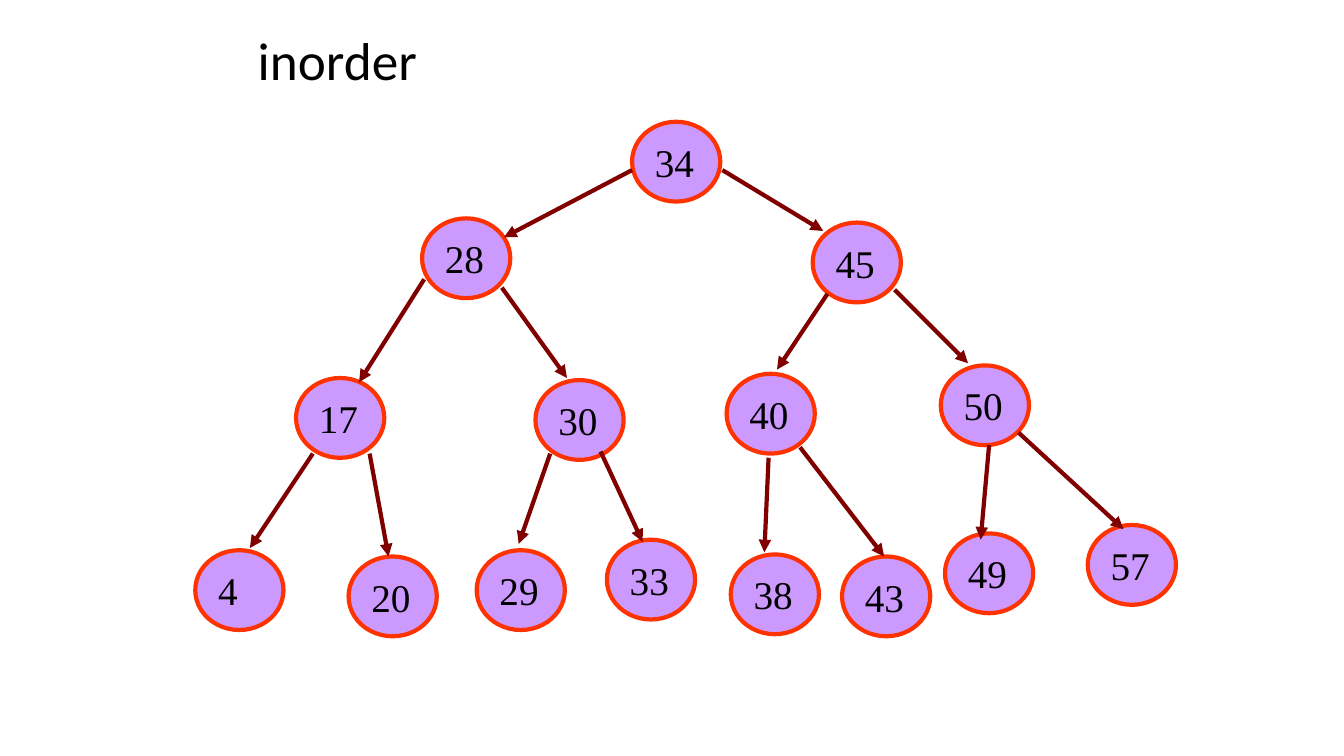
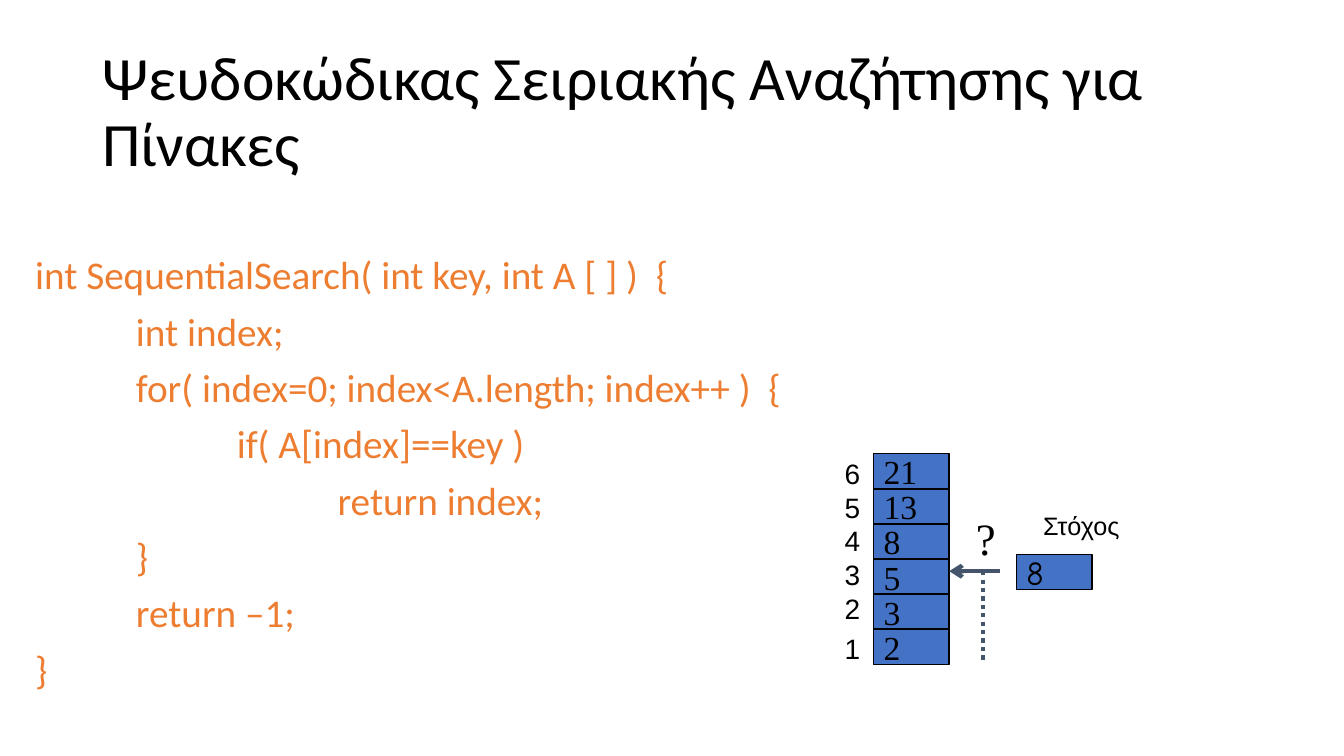
from lxml import etree
from pptx import Presentation
from pptx.dml.color import RGBColor
from pptx.enum.dml import MSO_LINE
from pptx.enum.shapes import MSO_CONNECTOR, MSO_SHAPE
from pptx.enum.text import MSO_ANCHOR, PP_ALIGN
from pptx.oxml.ns import qn
from pptx.util import Inches, Pt

LEFT = PP_ALIGN.LEFT
MIDDLE, TOP = MSO_ANCHOR.MIDDLE, MSO_ANCHOR.TOP
OVAL, RECT = MSO_SHAPE.OVAL, MSO_SHAPE.RECTANGLE
STRAIGHT = MSO_CONNECTOR.STRAIGHT
DOTS = MSO_LINE.ROUND_DOT

BLACK, ORANGE, SLATE, MAROON = "000000", "ED7D31", "44546A", "800000"
rgb = RGBColor.from_string

deck = Presentation()
deck.slide_width, deck.slide_height = Inches(13.33), Inches(7.5)
COL, ROW = deck.slide_width / 640, deck.slide_height / 360

HEAD = {"name": "Calibri", "size": Pt(44)}
SMALL = {"name": "Calibri", "size": Pt(38)}
CODE = {"name": "Calibri", "size": Pt(28)}
NODE = {"name": "Times New Roman", "size": Pt(28)}
CELL = {"name": "Times New Roman", "size": Pt(24)}
MARK = {"name": "Times New Roman", "size": Pt(32)}
GOAL = {"name": "Comic Neue", "size": Pt(24)}
INDEX = {"name": "Arial", "size": Pt(20)}
LABEL = {"name": "Arial", "size": Pt(18)}

RING = {"kind": OVAL, "fill": "CC99FF", "edge": "FF3300", "width": 3}
BLOCK = {"kind": RECT, "fill": "4472C4", "edge": BLACK, "width": 1.25}


def box(slide, place, text, font, look=None, color=BLACK, anchor=MIDDLE, lead=1.0):
    x, y, w, h = place
    area = [round(n) for n in (x * COL, y * ROW, w * COL, h * ROW)]
    if look:
        shape = slide.shapes.add_shape(look["kind"], *area)
        shape.shadow.inherit = False
        shape.fill.solid()
        shape.fill.fore_color.rgb = rgb(look["fill"])
        shape.line.color.rgb = rgb(look["edge"])
        shape.line.width = Pt(look["width"])
    else:
        shape = slide.shapes.add_textbox(*area)
    frame = shape.text_frame
    frame.text = text
    inset = 0 if anchor == MIDDLE else Inches(0.05)
    form = {"word_wrap": True, "vertical_anchor": anchor, "margin_left": Inches(0.1),
            "margin_right": 0, "margin_top": inset, "margin_bottom": inset}
    for key, value in form.items():
        setattr(frame, key, value)
    for para in frame.paragraphs:
        para.alignment = LEFT
        para.line_spacing = lead
        for key, value in font.items():
            setattr(para.font, key, value)
        para.font.color.rgb = rgb(color)
    return frame


def link(slide, ends, color, tip=None, dash=None):
    x, y, u, v = ends
    line = slide.shapes.add_connector(
        STRAIGHT, round(x * COL), round(y * ROW), round(u * COL), round(v * ROW))
    line.line.color.rgb = rgb(color)
    line.line.width = Pt(3)
    if dash:
        line.line.dash_style = dash
    props = line._element.spPr
    if tip:
        side, form = tip
        etree.SubElement(props.find(qn("a:ln")), qn(side), type=form)
    etree.SubElement(props, qn("a:effectLst"))


blank = deck.slide_layouts[6]
tree = deck.slides.add_slide(blank)
box(tree, (118, 0, 408, 60), "inorder", SMALL, lead=0.9)

nodes = {
    34: (301, 58), 28: (201, 104), 45: (387, 106),
    17: (141, 180), 30: (255, 181), 40: (346, 178), 50: (448, 174),
    4: (93, 262), 20: (166, 265), 29: (227, 262), 33: (289, 257),
    38: (348, 264), 43: (401, 265), 49: (450, 254), 57: (518, 250),
}
for key, (x, y) in nodes.items():
    box(tree, (x, y, 42, 38), str(key), NODE, RING)

edges = [
    (301, 81, 240, 113), (344, 81, 392, 110),
    (202, 133, 171, 182), (239, 137, 270, 180),
    (394, 140, 370, 176), (426, 138, 461, 173),
    (149, 216, 119, 261), (176, 216, 185, 265),
    (262, 216, 247, 259), (286, 215, 306, 258),
    (366, 218, 364, 263), (381, 213, 421, 265),
    (471, 212, 467, 257), (485, 206, 535, 252),
]
for ends in edges:
    link(tree, ends, MAROON, ("a:tailEnd", "triangle"))

search = deck.slides.add_slide(blank)
box(search, (44, 19, 552, 70), "Ψευδοκώδικας Σειριακής Αναζήτησης για Πίνακες", HEAD, lead=0.9)

code = [
    (0, "int SequentialSearch( int key, int Α [ ] )  {"),
    (1, "int index;"),
    (1, "for( index=0; index<Α.length; index++ )  {"),
    (2, "if( Α[index]==key )"),
    (3, "return index;"),
    (1, "}"),
    (1, "return –1;"),
    (0, "}"),
]
frame = box(search, (0, 119.5, 408, 215.5), "\n".join(text for _, text in code), CODE,
            color=ORANGE, anchor=TOP, lead=0.9)
for row, (para, (level, _)) in enumerate(zip(frame.paragraphs, code)):
    para._p.get_or_add_pPr().set("marL", str(Inches(0.25 + level)))
    para.space_before = Pt(10 if row else 0)

STEP = 16.75
stack = zip((21, 13, 8, 5, 3, 2), (216, 232, 248, 264, 280, 299))
for row, (value, top) in enumerate(stack):
    box(search, (397.5, top, 16, 19), str(6 - row), INDEX)
    box(search, (416, 216 + row * STEP, 36, STEP), str(value), CELL, BLOCK)

box(search, (460, 242, 20, 28), "?", MARK)
link(search, (452, 272, 476, 272), SLATE, ("a:headEnd", "arrow"))
link(search, (468, 272, 468, 316), SLATE, dash=DOTS)
box(search, (484, 264, 36, STEP), "8", GOAL, {**BLOCK, "width": 1})
box(search, (492, 240, 48, 20), "Στόχος", LABEL)

deck.save("out.pptx")
